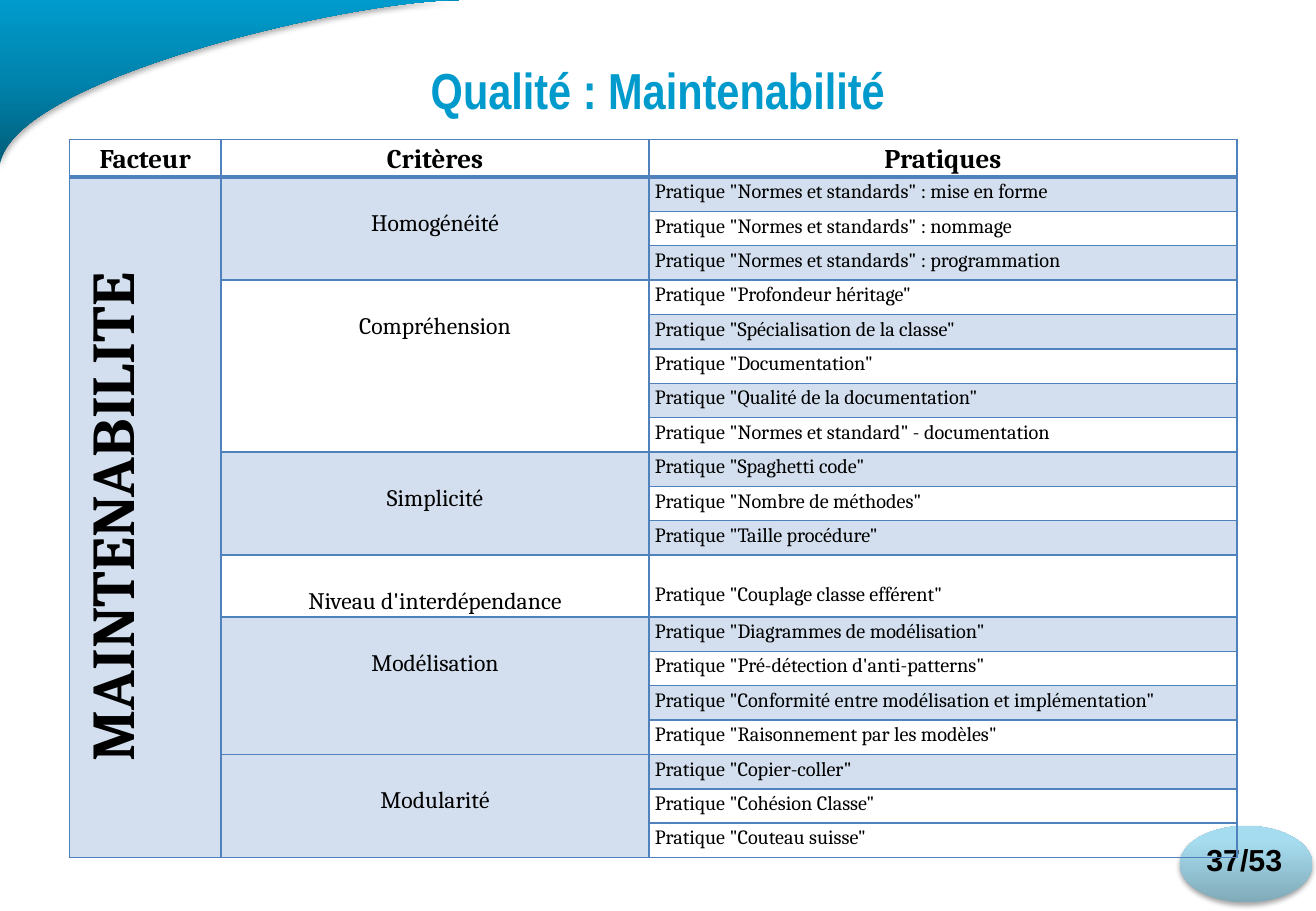
from dataclasses import dataclass

from lxml.etree import SubElement as Sub
from pptx import Presentation as Deck
from pptx.dml.color import RGBColor as Rgb
from pptx.enum.shapes import MSO_SHAPE as Shape
from pptx.enum.text import MSO_ANCHOR as Anchor, PP_ALIGN as Align
from pptx.oxml.ns import qn
from pptx.util import Inches, Pt


@dataclass(frozen=True)
class Theme:
    blue: str = "009BCC"
    ink: str = "000000"
    band: str = "D3DFEE"
    edge: str = "4F81BD"
    wave: tuple = ((0, "005C79"), (50, "0083AC"), (100, "009BCC"))
    disc: tuple = ((0, "80AAB8"), (80, "A6DCEF"), (100, "A5DEF2"))
    head: str = "Arial Narrow"
    sans: str = "Arial"
    serif: str = "Cambria"
    title: int = 30
    page: int = 18
    label: int = 16
    factor: int = 36
    group: int = 14
    item: int = 12
    thin: float = 1
    thick: float = 2.25


HEADS = ("Facteur", "Critères", "Pratiques")
FACTOR = "MAINTENABILITE"
GROUPS = (
    ("Homogénéité", (
        '"Normes et standards" : mise en forme',
        '"Normes et standards" : nommage',
        '"Normes et standards" : programmation')),
    ("Compréhension", (
        '"Profondeur héritage"',
        '"Spécialisation de la classe"',
        '"Documentation"',
        '"Qualité de la documentation"',
        '"Normes et standard" - documentation')),
    ("Simplicité", (
        '"Spaghetti code"',
        '"Nombre de méthodes"',
        '"Taille procédure"')),
    ("Niveau d'interdépendance", (
        '"Couplage classe efférent"',)),
    ("Modélisation", (
        '"Diagrammes de modélisation"',
        '"Pré-détection d\'anti-patterns"',
        '"Conformité entre modélisation et implémentation"',
        '"Raisonnement par les modèles"')),
    ("Modularité", (
        '"Copier-coller"',
        '"Cohésion Classe"',
        '"Couteau suisse"')),
)
COLS = (1.25, 3.52, 4.84)
TOP_ROW, TALL_ROW, ROW = 0.29, 0.48, 5.1 / 18


def write(frame, text, size, font, color, bold=False, align=Align.CENTER, space=1.0):
    para = frame.paragraphs[0]
    para.alignment = align
    para.line_spacing = space
    run = para.add_run()
    run.text = text
    run.font.size = Pt(size)
    run.font.name = font
    run.font.bold = bold
    run.font.color.rgb = Rgb.from_string(color)


def curve(start, near, far, end, steps=60):
    for step in range(1, steps + 1):
        t = step / steps
        u = 1 - t
        yield tuple(Inches(u**3 * a + 3 * u * u * t * b + 3 * u * t * t * c + t**3 * d)
                    for a, b, c, d in zip(start, near, far, end))


class Page:
    def __init__(self, theme, deck):
        self.theme = theme
        self.slide = deck.slides.add_slide(deck.slide_layouts[5])
        self.shapes = self.slide.shapes

    def title(self, text, left, top, width, height):
        box = self.shapes.title
        box.left, box.top, box.width, box.height = map(Inches, (left, top, width, height))
        frame = box.text_frame
        frame.margin_top, frame.margin_bottom = Inches(0.28), Inches(0.04)
        frame.vertical_anchor = Anchor.MIDDLE
        write(frame, text, self.theme.title, self.theme.head, self.theme.blue,
              bold=True, space=0.9)

    def gloss(self, shape, stops, alpha, blur, drop):
        shape.line.fill.background()
        shape.shadow.inherit = False
        shape.fill.gradient()
        shape.fill.gradient_angle = 90
        props = shape.fill._xPr
        stack = props.find(".//" + qn("a:gsLst"))
        for old in list(stack):
            stack.remove(old)
        for place, color in stops:
            stop = Sub(stack, qn("a:gs"), pos=str(place * 1000))
            Sub(stop, qn("a:srgbClr"), val=color)
        cast = Sub(props.find(qn("a:effectLst")), qn("a:outerShdw"), blurRad=str(Pt(blur)),
                   dist=str(Pt(drop)), dir="5400000", rotWithShape="0")
        tint = Sub(cast, qn("a:srgbClr"), val=self.theme.ink)
        Sub(tint, qn("a:alpha"), val=str(alpha * 1000))

    def wave(self):
        pen = self.shapes.build_freeform(0, Inches(1.35))
        points = list(curve((0, 1.35), (0.12, 0.64), (2.9, 0), (3.78, 0)))
        pen.add_line_segments(points + [(0, 0)], close=True)
        self.gloss(pen.convert_to_shape(), self.theme.wave, 32, 3.5, 2.2)

    def number(self, text):
        disc = self.shapes.add_shape(
            Shape.OVAL, Inches(9.71), Inches(6.8), Inches(1.09), Inches(0.63))
        self.gloss(disc, self.theme.disc, 35, 3.1, 1.8)
        box = self.shapes.add_textbox(Inches(9.71), Inches(6.88), Inches(1.06), Inches(0.4))
        box.text_frame.word_wrap = True
        write(box.text_frame, text, self.theme.page, self.theme.sans, self.theme.ink, bold=True)

    def cell(self, cell, text, size, fill=False, inset=0, **style):
        cell.margin_left = cell.margin_right = Inches(0.05)
        cell.margin_top, cell.margin_bottom = Inches(inset), 0
        if fill:
            cell.fill.solid()
            cell.fill.fore_color.rgb = Rgb.from_string(self.theme.band)
        write(cell.text_frame, text, size, self.theme.serif, self.theme.ink,
              space=1.15, **style)

    def border(self, cell, row):
        props = cell._tc.get_or_add_tcPr()
        heavy = {"T": row == 1, "B": row == 0}
        for side in "LRTB":
            width = self.theme.thick if heavy.get(side) else self.theme.thin
            line = Sub(props, qn("a:ln" + side), w=str(Pt(width)))
            Sub(Sub(line, qn("a:solidFill")), qn("a:srgbClr"), val=self.theme.edge)

    def table(self, left, top):
        theme = self.theme
        count = 1 + sum(len(items) for _, items in GROUPS)
        grid = self.shapes.add_table(
            count, len(COLS), Inches(left), Inches(top), Inches(sum(COLS)),
            Inches(TOP_ROW + TALL_ROW + ROW * (count - 2))).table
        grid.first_row = grid.horz_banding = False
        for col, width in zip(grid.columns, COLS):
            col.width = Inches(width)
        for row in range(count):
            grid.rows[row].height = Inches(ROW if row else TOP_ROW)
            for col in range(len(COLS)):
                self.border(grid.cell(row, col), row)
                grid.cell(row, col).fill.background()
        for col, text in enumerate(HEADS):
            self.cell(grid.cell(0, col), text, theme.label, bold=True)

        factor = grid.cell(1, 0)
        factor.merge(grid.cell(count - 1, 0))
        self.cell(factor, FACTOR, theme.factor, fill=True, bold=True)
        factor.vertical_anchor = Anchor.MIDDLE
        factor._tc.get_or_add_tcPr().set("vert", "vert270")

        row = 1
        for name, items in GROUPS:
            lone = len(items) == 1
            group = grid.cell(row, 1)
            if lone:
                grid.rows[row].height = Inches(TALL_ROW)
            else:
                group.merge(grid.cell(row + len(items) - 1, 1))
            self.cell(group, name, theme.group, fill=row % 2 == 1, inset=0.24)
            for item in items:
                self.cell(grid.cell(row, 2), "Pratique " + item, theme.item,
                          fill=row % 2 == 1 and row < count - 1,
                          inset=0.2 if lone else 0, align=Align.JUSTIFY)
                row += 1


def main():
    deck = Deck()
    deck.slide_width, deck.slide_height = Inches(10.83), Inches(7.5)
    page = Page(Theme(), deck)
    page.wave()
    page.number("37/53")
    page.title("Qualité : Maintenabilité", 0, 0, 10.83, 1.3)
    page.table(0.57, 1.15)
    deck.save("out.pptx")


if __name__ == "__main__":
    main()
